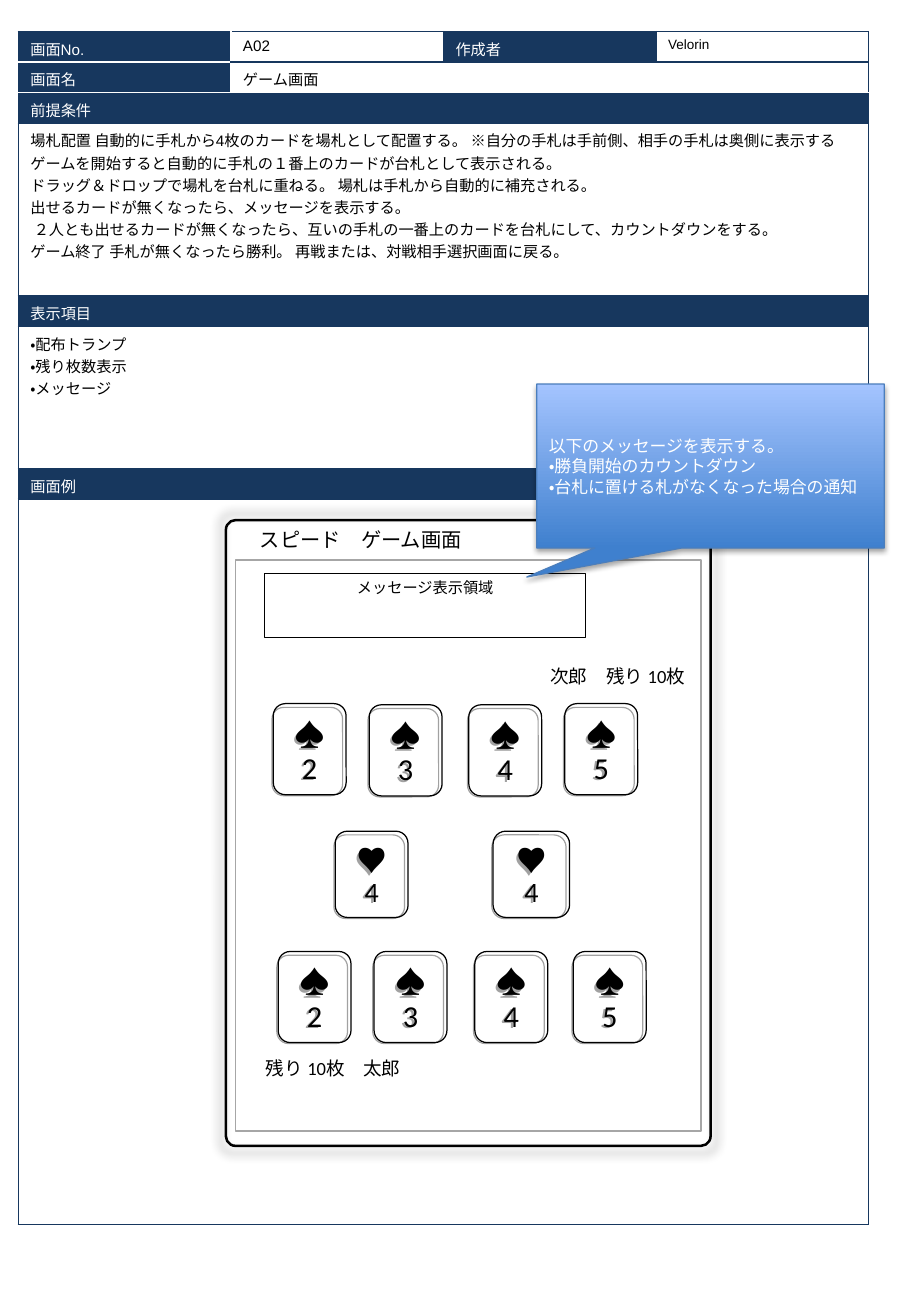
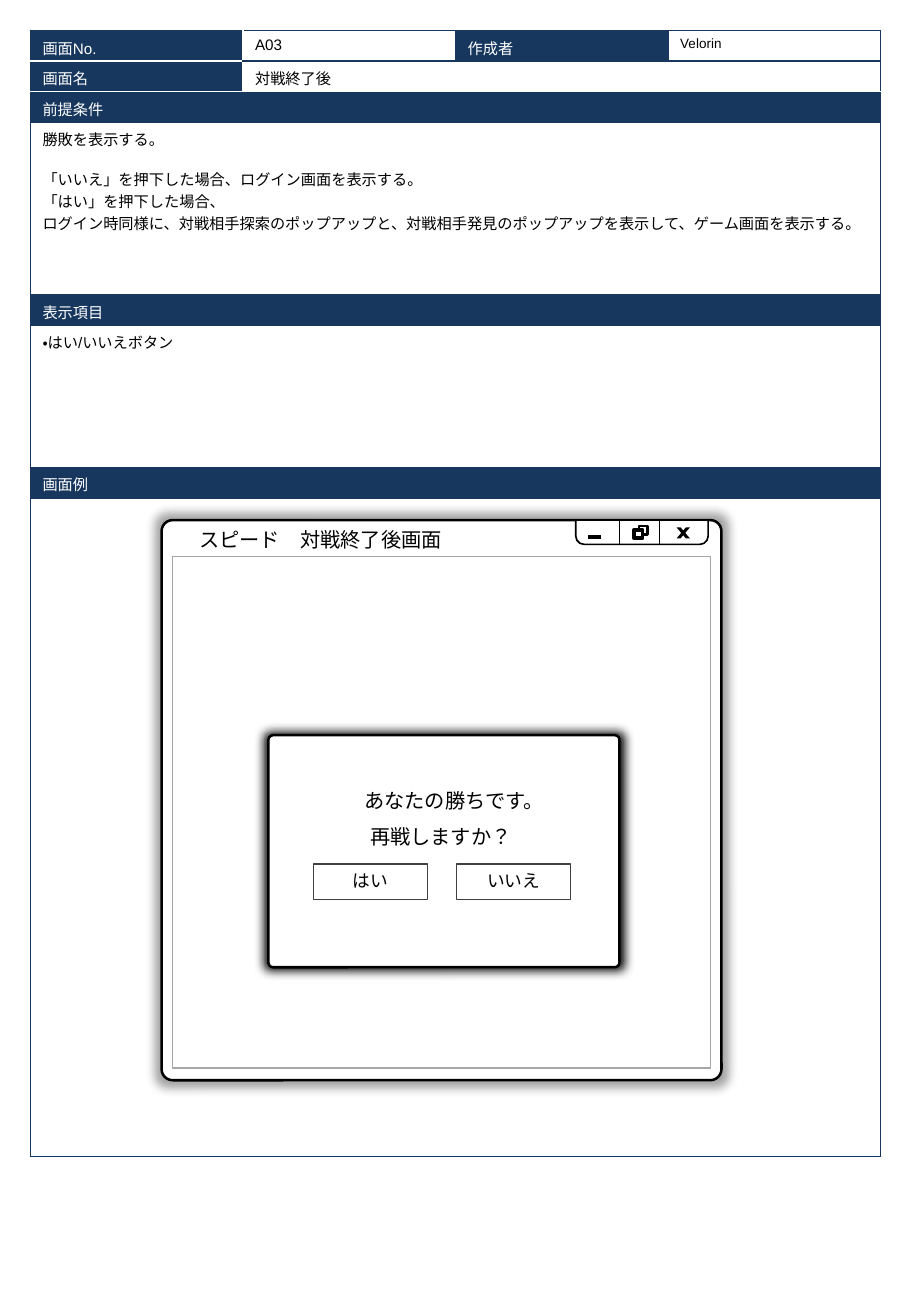
from lxml import etree
from pptx import Presentation
from pptx.dml.color import RGBColor
from pptx.enum.lang import MSO_LANGUAGE_ID
from pptx.enum.shapes import MSO_CONNECTOR, MSO_SHAPE
from pptx.enum.text import MSO_ANCHOR, MSO_AUTO_SIZE, PP_ALIGN
from pptx.oxml.ns import qn
from pptx.util import Inches, Pt

LEFT, MID, RIGHT = PP_ALIGN.LEFT, PP_ALIGN.CENTER, PP_ALIGN.RIGHT
TOP, CENTER = MSO_ANCHOR.TOP, MSO_ANCHOR.MIDDLE
RECT, ROUND = MSO_SHAPE.RECTANGLE, MSO_SHAPE.ROUNDED_RECTANGLE
TAB, SLANT = MSO_SHAPE.ROUND_2_SAME_RECTANGLE, MSO_SHAPE.PARALLELOGRAM
CALLOUT = MSO_SHAPE.RECTANGULAR_CALLOUT
STRAIGHT = MSO_CONNECTOR.STRAIGHT
JAPAN = MSO_LANGUAGE_ID.JAPANESE

NAVY, WHITE, BLACK, GRAY, DARK = "17375E", "FFFFFF", "000000", "A6A6A6", "404040"
ROWS = [0.25, 0.25, 0.25, 1.42, 0.25, 1.17, 0.25]
COL = 1.75
PALE = {(0, 0): "RB", (0, 1): "L", (1, 0): "TRB", (1, 1): "LB", (2, 0): "T"}
GLOW = (37, 6, 0, 0, 102)
POPUP = (97, 6, 0, 0, 102)
CAST = (36, 0, 2, 135, 97)
DROP = (35, 3.1, 1.8, 90, 100)

AUTHOR = "Velorin"
GAME = {
    "at": (0.15, 0.26), "last": 5.97, "no": "A02", "name": "ゲーム画面",
    "rules": [
        "場札配置 自動的に手札から4枚のカードを場札として配置する。 ※自分の手札は手前側、相手の手札は奥側に表示する ",
        "ゲームを開始すると自動的に手札の１番上のカードが台札として表示される。 ",
        "ドラッグ＆ドロップで場札を台札に重ねる。 場札は手札から自動的に補充される。 ",
        "出せるカードが無くなったら、メッセージを表示する。",
        " ２人とも出せるカードが無くなったら、互いの手札の一番上のカードを台札にして、カウントダウンをする。",
        "ゲーム終了 手札が無くなったら勝利。 再戦または、対戦相手選択画面に戻る。",
    ],
    "items": ["・配布トランプ", "・残り枚数表示", "・メッセージ"],
    "title": "スピード　ゲーム画面", "head": (2.04, 4.29, 2.7, 0.34),
    "frame": (1.86, 4.28, 3.99, 5.15), "pane": (1.94, 4.61, 3.83, 4.7), "fill": None,
}
RESULT = {
    "at": (0.25, 0.25), "last": 5.42, "no": "A03", "name": "対戦終了後",
    "rules": [
        "勝敗を表示する。",
        "「いいえ」を押下した場合、ログイン画面を表示する。",
        "「はい」を押下した場合、",
        "ログイン時同様に、対戦相手探索のポップアップと、対戦相手発見のポップアップを表示して、ゲーム画面を表示する。",
    ],
    "items": ["・はい/いいえボタン"],
    "title": "スピード　対戦終了後画面", "head": (1.54, 4.29, 3.12, 0.3),
    "frame": (1.33, 4.28, 4.61, 4.61), "pane": (1.42, 4.58, 4.43, 4.21), "fill": WHITE,
}
HANDS = [
    ("♠", 18, 0.75, [("2", 2.25, 5.79, 0.6), ("3", 3.04, 5.8, 0.6),
                     ("4", 3.86, 5.8, 0.6), ("5", 4.65, 5.79, 0.6)]),
    ("♥", 16.6, 0.71, [("4", 2.76, 6.84, 0.6), ("4", 4.06, 6.84, 0.63)]),
    ("♠", 18, 0.75, [("2", 2.29, 7.83, 0.6), ("3", 3.08, 7.83, 0.6),
                     ("4", 3.91, 7.83, 0.6), ("5", 4.72, 7.83, 0.6)]),
]
COUNTS = [("残り 10枚　太郎", (2.09, 8.65, 2.18, 0.29), LEFT),
          ("次郎　残り 10枚", (3.14, 5.42, 2.6, 0.29), RIGHT)]
NOTICE = ["以下のメッセージを表示する。", "・勝負開始のカウントダウン",
          "・台札に置ける札がなくなった場合の通知"]
ASKS = [("再戦しますか？", (2.13, 6.74, 3, 0.28)),
        ("あなたの勝ちです。", (2.24, 6.45, 3, 0.28))]
BUTTONS = ["はい", "いいえ"]


def rgb(color):
    return RGBColor.from_string(color)


def box(at):
    return [Inches(n) for n in at]


def put(frame, lines, size, font="Calibri", color=BLACK, align=LEFT, anchor=TOP, pad=None):
    frame.word_wrap = True
    frame.auto_size = MSO_AUTO_SIZE.NONE
    frame.vertical_anchor = anchor
    if pad:
        frame.margin_left = frame.margin_right = Inches(pad[0])
        frame.margin_top = frame.margin_bottom = Inches(pad[1])
    for i, line in enumerate(lines):
        para = frame.paragraphs[0] if i == 0 else frame.add_paragraph()
        para.alignment = align
        run = para.add_run()
        run.text = line
        run.font.size = Pt(size)
        run.font.name = font
        run.font.language_id = JAPAN
        run.font.color.rgb = rgb(color)


def shade(shape, alpha, blur, dist, angle, scale):
    effects = shape.element.spPr.find(qn("a:effectLst"))
    cast = etree.SubElement(effects, qn("a:outerShdw"), blurRad=str(Pt(blur)),
                            dist=str(Pt(dist)), dir=str(angle * 60000),
                            sx=str(scale * 1000), sy=str(scale * 1000),
                            algn="ctr", rotWithShape="0")
    tint = etree.SubElement(cast, qn("a:srgbClr"), val=BLACK)
    etree.SubElement(tint, qn("a:alpha"), val=str(alpha * 1000))


def draw(shapes, kind, at, fill=None, line=None, width=0.75, adjust=(), cast=None):
    shape = shapes.add_shape(kind, *box(at))
    for i, value in enumerate(adjust):
        shape.adjustments[i] = value
    if fill:
        shape.fill.solid()
        shape.fill.fore_color.rgb = rgb(fill)
    else:
        shape.fill.background()
    if line:
        shape.line.color.rgb = rgb(line)
        shape.line.width = Pt(width)
    else:
        shape.line.fill.background()
    shape.shadow.inherit = False
    if cast:
        shade(shape, *cast)
    return shape


def rule(shapes, ends, width):
    line = shapes.add_connector(STRAIGHT, *box(ends))
    line.line.color.rgb = rgb(BLACK)
    line.line.width = Pt(width)
    etree.SubElement(line.element.spPr, qn("a:effectLst"))


def edge(cell, pale):
    props = cell._tc.get_or_add_tcPr()
    for side in "LRTB":
        line = etree.SubElement(props, qn("a:ln" + side), w=str(Pt(1)))
        fill = etree.SubElement(line, qn("a:solidFill"))
        etree.SubElement(fill, qn("a:srgbClr"), val=WHITE if side in pale else NAVY)


def sheet(slide, data):
    heights = ROWS + [data["last"]]
    at = (*data["at"], COL * 4, sum(heights))
    table = slide.shapes.add_table(len(heights), 4, *box(at)).table
    table.first_row = table.horz_banding = False
    for col in table.columns:
        col.width = Inches(COL)
    for row, height in zip(table.rows, heights):
        row.height = Inches(height)
    table.cell(1, 1).merge(table.cell(1, 3))
    for r in range(2, len(heights)):
        table.cell(r, 0).merge(table.cell(r, 3))
    labels = {(0, 0): "画面No.", (0, 2): "作成者", (1, 0): "画面名",
              (2, 0): "前提条件", (4, 0): "表示項目", (6, 0): "画面例"}
    texts = {(0, 1): [data["no"]], (0, 3): [AUTHOR], (1, 1): [data["name"]],
             (3, 0): data["rules"], (5, 0): data["items"]}
    for r in range(len(heights)):
        for c in range(4):
            cell = table.cell(r, c)
            start = 0 if r > 1 else min(c, 1) if r == 1 else c
            edge(cell, PALE.get((r, start), ""))
            cell.margin_bottom = Inches(0.02)
            if (r, start) in labels:
                cell.fill.solid()
                cell.fill.fore_color.rgb = rgb(NAVY)
            else:
                cell.fill.background()
            if (r, c) in labels:
                put(cell.text_frame, [labels[r, c]], 9, "Arial", WHITE)
            elif (r, c) in texts:
                size = 8 if (r, c) == (0, 3) else 9
                put(cell.text_frame, texts[r, c], size, "Arial")
    return table


def screen(deck, data):
    slide = deck.slides.add_slide(deck.slide_layouts[5])
    table = sheet(slide, data)
    draw(slide.shapes, ROUND, data["frame"], data["fill"], BLACK, 1.5, [0.02], GLOW)
    title = slide.shapes.title
    title.left, title.top, title.width, title.height = box(data["head"])
    put(title.text_frame, [data["title"]], 12)
    title.element.getparent().append(title.element)
    draw(slide.shapes, RECT, data["pane"], data["fill"], GRAY, 1)
    return slide.shapes, table


def controls(shapes):
    group = shapes.add_group_shape().shapes
    tab = draw(group, TAB, (4.74, 4.28, 1.09, 0.2), WHITE, BLACK, 1, [0.344, 0])
    tab.rotation = 180
    for x in (5.1, 5.43):
        rule(group, (x, 4.48, x, 4.28), 0.75)
    draw(group, RECT, (5.26, 4.33, 0.07, 0.07), WHITE, BLACK, 1.5)
    draw(group, RECT, (5.22, 4.36, 0.07, 0.07), WHITE, BLACK, 2.25)
    for flip in "01":
        bar = draw(group, SLANT, (5.57, 4.34, 0.11, 0.09), BLACK, adjust=[0.851])
        bar.element.spPr.get_or_add_xfrm().set("flipH", flip)
    rule(group, (4.84, 4.42, 4.95, 4.42), 2.25)


def label(shapes, text, at, size, font, align, pad=None):
    area = shapes.add_textbox(*box(at))
    put(area.text_frame, [text], size, font, align=align, pad=pad)


deck = Presentation()
deck.slide_width, deck.slide_height = Inches(7.5), Inches(10.83)

shapes, table = screen(deck, GAME)
for suit, size, height, cards in HANDS:
    for rank, x, y, width in cards:
        card = draw(shapes, ROUND, (x, y, width, height), line=BLACK, cast=CAST)
        put(card.text_frame, [suit, rank], size, align=MID, anchor=CENTER)
for text, at, align in COUNTS:
    label(shapes, text, at, 11, "Calibri", align)
area = draw(shapes, RECT, (2.18, 4.72, 2.64, 0.53), line=BLACK)
put(area.text_frame, ["メッセージ表示領域"], 9, "Arial", align=MID, pad=(0, 0.04))
note = draw(shapes, CALLOUT, (4.42, 3.16, 2.86, 1.35), None, "4B7EBC", 0.75,
            [-0.529, 0.677], DROP)
note.fill.gradient()
note.fill.gradient_angle = 90
for stop, color in zip(note.fill.gradient_stops, ("3F80CE", "A4C4FF")):
    stop.color.rgb = rgb(color)
put(note.text_frame, NOTICE, 10, color=WHITE, anchor=CENTER)

shapes, table = screen(deck, RESULT)
table.cell(3, 0).text_frame.paragraphs[0].space_after = Pt(10.5)
controls(shapes)
draw(shapes, ROUND, (2.21, 6.05, 2.89, 1.91), WHITE, BLACK, 1.5, [0.02], POPUP)
for text, at in ASKS:
    label(shapes, text, at, 12, "Arial", MID, (0, 0.04))
for i, text in enumerate(BUTTONS):
    button = draw(shapes, RECT, (2.58 + i * 1.18, 7.11, 0.94, 0.29), line=DARK)
    put(button.text_frame, [text], 10.5, align=MID)

deck.save("out.pptx")
